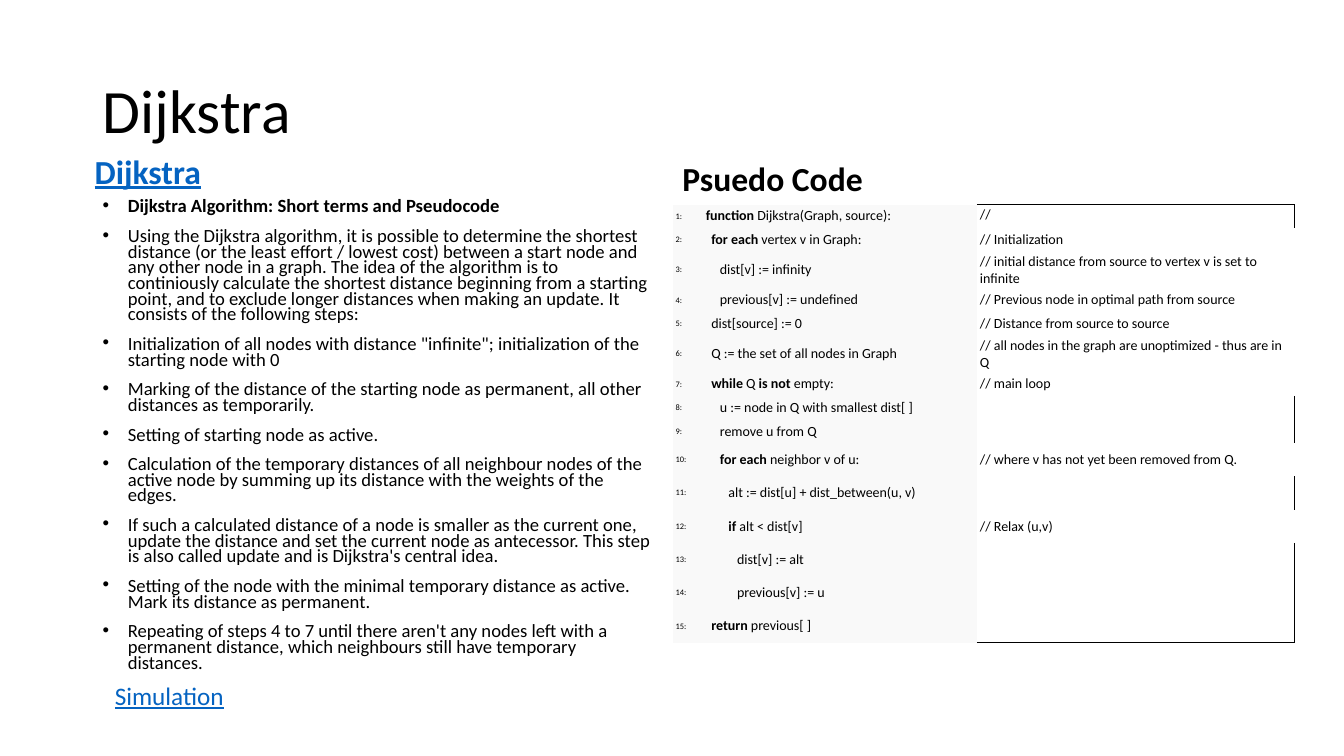
from lxml import etree
from pptx import Presentation
from pptx.dml.color import RGBColor
from pptx.enum.text import MSO_ANCHOR
from pptx.oxml.ns import qn
from pptx.util import Inches, Pt

TOP, MIDDLE, BOTTOM = MSO_ANCHOR.TOP, MSO_ANCHOR.MIDDLE, MSO_ANCHOR.BOTTOM
FONT = "Calibri"
COLORS = {"text": "000000", "link": "0563C1", "code": "F9F9F9"}

STEPS = [
    "*Dijkstra Algorithm: Short terms and Pseudocode*",
    "Using the Dijkstra algorithm, it is possible to determine the shortest distance "
    "(or the least effort / lowest cost) between a start node and any other node in a graph. "
    "The idea of the algorithm is to continiously calculate the shortest distance beginning "
    "from a starting point, and to exclude longer distances when making an update. "
    "It consists of the following steps:",
    'Initialization of all nodes with distance "infinite"; initialization of the starting node with 0',
    "Marking of the distance of the starting node as permanent, all other distances as temporarily.",
    "Setting of starting node as active.",
    "Calculation of the temporary distances of all neighbour nodes of the active node "
    "by summing up its distance with the weights of the edges.",
    "If such a calculated distance of a node is smaller as the current one, update the distance "
    "and set the current node as antecessor. This step is also called update and is "
    "Dijkstra's central idea.",
    "Setting of the node with the minimal temporary distance as active. "
    "Mark its distance as permanent.",
    "Repeating of steps 4 to 7 until there aren't any nodes left with a permanent distance, "
    "which neighbours still have temporary distances.",
]

CODE = [
    (0, 0.23, "*function* Dijkstra(Graph, source):", "//"),
    (1, 0.23, "*for each* vertex v in Graph:", "// Initialization"),
    (2, 0.33, "dist[v] := infinity", "// initial distance from source to vertex v is set to infinite"),
    (2, 0.23, "previous[v] := undefined", "// Previous node in optimal path from source"),
    (1, 0.23, "dist[source] := 0", "// Distance from source to source"),
    (1, 0.23, "Q := the set of all nodes in Graph", "// all nodes in the graph are unoptimized - thus are in Q"),
    (1, 0.23, "*while* Q *is not* empty:", "// main loop"),
    (2, 0.24, "u := node in Q with smallest dist[ ]", ""),
    (2, 0.23, "remove u from Q", ""),
    (2, 0.33, "*for each* neighbor v of u:", "// where v has not yet been removed from Q."),
    (3, 0.33, "alt := dist[u] + dist_between(u, v)", ""),
    (3, 0.33, "*if* alt < dist[v]", "// Relax (u,v)"),
    (4, 0.33, "dist[v] := alt", ""),
    (4, 0.33, "previous[v] := u", ""),
    (1, 0.33, "*return* previous[ ]", ""),
]


def add_runs(p, text, size, color="text", bold=False, underline=False):
    for i, part in enumerate(text.split("*")):
        if not part:
            continue
        r = p.add_run()
        r.text = part
        r.font.name = FONT
        r.font.size = Pt(size)
        r.font.bold = bold or i % 2 == 1
        r.font.underline = underline
        r.font.color.rgb = RGBColor.from_string(COLORS[color])


def add_bullet(p):
    pPr = p._p.get_or_add_pPr()
    pPr.set("marL", str(Inches(0.25)))
    pPr.set("indent", str(Inches(-0.25)))
    etree.SubElement(pPr, qn("a:buFont")).set("typeface", "Arial")
    etree.SubElement(pPr, qn("a:buChar")).set("char", "•")


def add_text(s, box, paragraphs, size, anchor=TOP, spacing=1.0, before=0, bullets=False, **style):
    tf = s.shapes.add_textbox(*map(Inches, box)).text_frame
    tf.word_wrap = True
    tf.vertical_anchor = anchor
    for i, text in enumerate(paragraphs):
        p = tf.add_paragraph() if i else tf.paragraphs[0]
        p.line_spacing = spacing
        p.space_before = Pt(before)
        if bullets:
            add_bullet(p)
        add_runs(p, text, size, **style)


def set_borders(cell, sides):
    tcPr = cell._tc.get_or_add_tcPr()
    for i, side in enumerate("LRTB"):
        ln = etree.Element(qn("a:ln" + side), w=str(Pt(1)))
        if side in sides:
            fill = etree.SubElement(ln, qn("a:solidFill"))
            etree.SubElement(fill, qn("a:srgbClr")).set("val", COLORS["text"])
        else:
            etree.SubElement(ln, qn("a:noFill"))
        tcPr.insert(i, ln)


def fill_cell(cell, text, size, left=0.03, anchor=MIDDLE, shaded=True, sides=""):
    cell.margin_left, cell.margin_right = Inches(left), Inches(0.03)
    cell.margin_top = cell.margin_bottom = Inches(0.02)
    cell.vertical_anchor = anchor
    if shaded:
        cell.fill.solid()
        cell.fill.fore_color.rgb = RGBColor.from_string(COLORS["code"])
    else:
        cell.fill.background()
    p = cell.text_frame.paragraphs[0]
    add_runs(p, text, size)
    if not text:
        etree.SubElement(p._p, qn("a:endParaRPr")).set("sz", str(size * 100))
    set_borders(cell, sides)


def add_code_table(s, left, top):
    widths = [0.3, 2.72, 3.15]
    height = sum(row[1] for row in CODE)
    table = s.shapes.add_table(len(CODE), len(widths), Inches(left), Inches(top),
                               Inches(sum(widths)), Inches(height)).table
    table.first_row = table.horz_banding = False
    for column, width in zip(table.columns, widths):
        column.width = Inches(width)
    for i, (level, row_height, code, comment) in enumerate(CODE):
        table.rows[i].height = Inches(row_height)
        fill_cell(table.cell(i, 0), f"{i + 1}:", 6)
        fill_cell(table.cell(i, 1), code, 10, left=max(0.03, 0.085 * level))
        sides = "" if len(comment) > 2 else "RB" if i else "RTB"
        fill_cell(table.cell(i, 2), comment, 10, anchor=MIDDLE if i else TOP,
                  shaded=False, sides=sides)


def main():
    prs = Presentation()
    prs.slide_width, prs.slide_height = Inches(13.33), Inches(7.5)
    s = prs.slides.add_slide(prs.slide_layouts[6])
    add_text(s, (0.92, 0.4, 11.5, 1.45), ["Dijkstra"], 44, MIDDLE, 0.9)
    add_text(s, (0.84, 1.5, 5.64, 0.44), ["Dijkstra"], 24, BOTTOM, 0.8, 10,
             color="link", bold=True, underline=True)
    add_text(s, (0.92, 1.94, 5.64, 4.83), STEPS, 13.3, TOP, 0.7, 10, bullets=True)
    add_text(s, (6.67, 1.12, 5.67, 0.9), ["Psuedo Code"], 24, BOTTOM, 0.9, 10, bold=True)
    add_code_table(s, 6.67, 2.03)
    add_text(s, (1.04, 6.7, 4.9, 0.4), ["Simulation"], 18, color="link", underline=True)
    prs.save("out.pptx")


if __name__ == "__main__":
    main()
